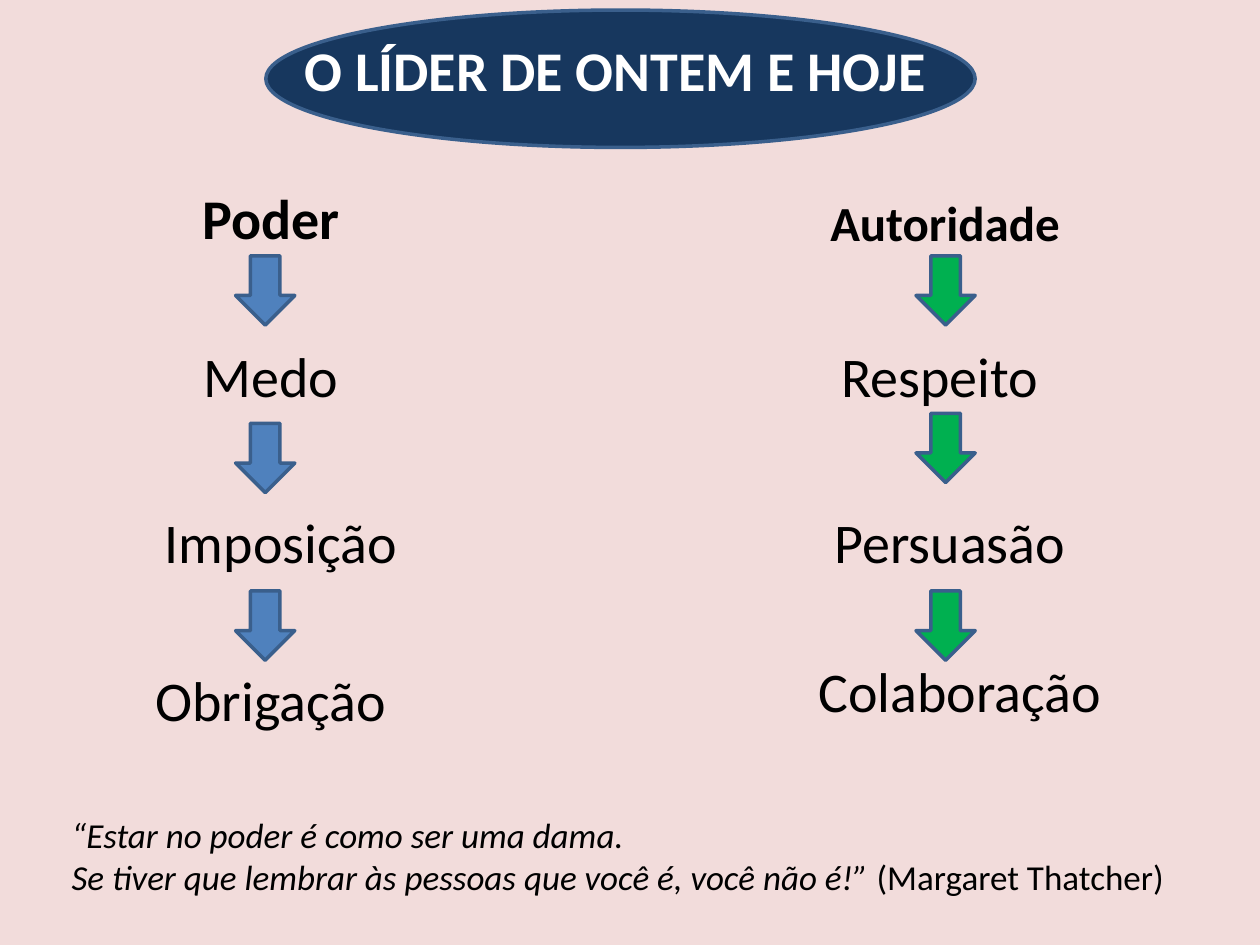
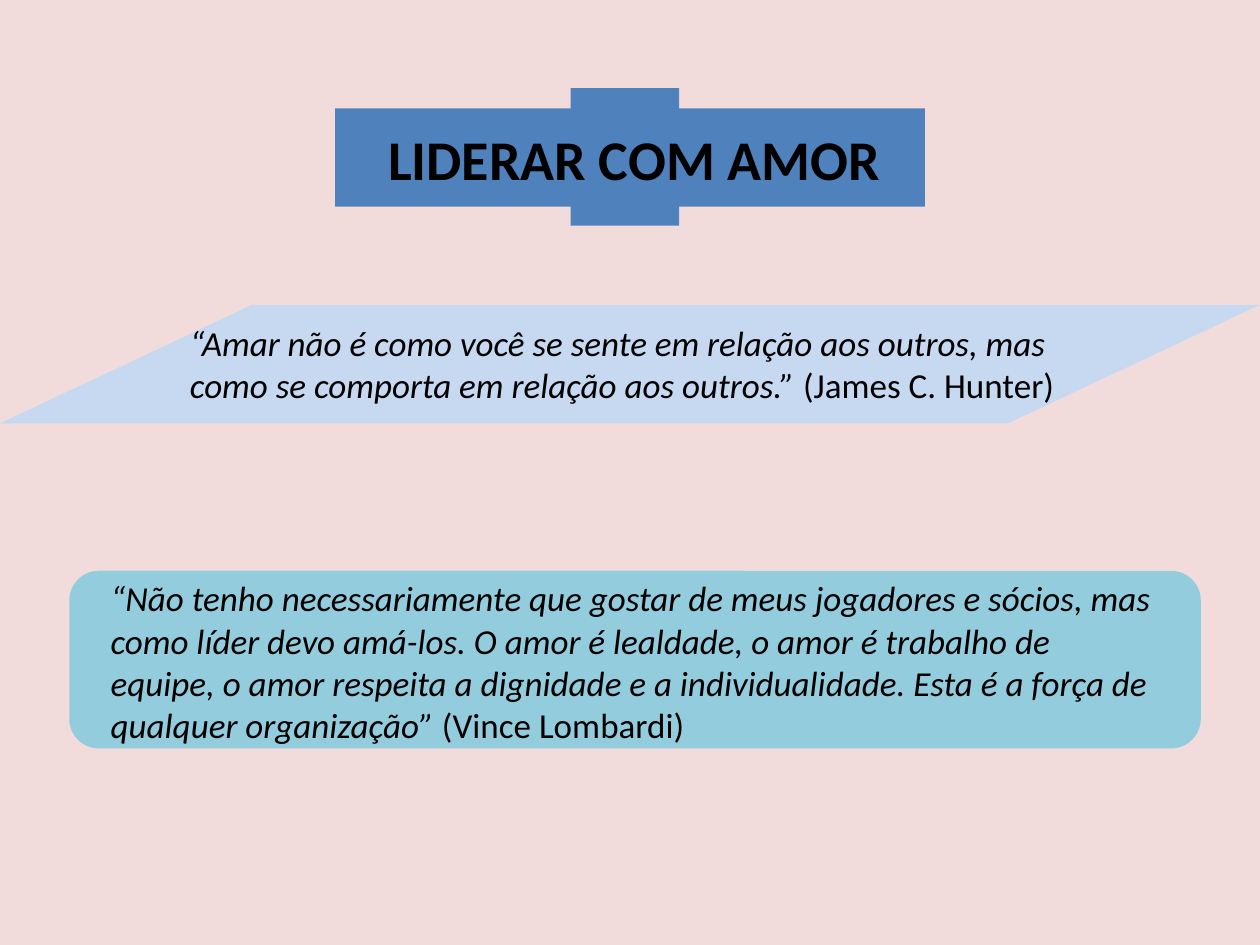
from dataclasses import dataclass

from pptx import Presentation
from pptx.dml.color import RGBColor
from pptx.enum.shapes import MSO_SHAPE as Shape
from pptx.enum.text import MSO_ANCHOR as Anchor, MSO_AUTO_SIZE as AutoSize, PP_ALIGN as Align
from pptx.util import Inches, Pt


@dataclass(frozen=True)
class Theme:
    font: str = "Calibri"
    background: str = "F2DCDB"
    ink: str = "000000"
    white: str = "FFFFFF"
    navy: str = "17375E"
    outline: str = "3A5F8C"
    blue: str = "4F81BD"
    green: str = "00B050"
    pale_blue: str = "C6D9F1"
    aqua: str = "93CDDD"
    heading: int = 32
    subheading: int = 28
    quote: int = 20
    outline_width: int = 2


class Deck:
    def __init__(self, theme):
        self.theme = theme
        self.prs = Presentation()
        self.prs.slide_width = Inches(10)
        self.prs.slide_height = Inches(7.5)
        self.paint(self.prs.slide_master.background.fill, theme.background)
        self.slide = None

    def paint(self, fill, color):
        fill.solid()
        fill.fore_color.rgb = RGBColor.from_string(color)

    def new_slide(self):
        self.slide = self.prs.slides.add_slide(self.prs.slide_layouts[5])

    def panel(self, kind, box, color, outlined=False, rotation=0):
        panel = self.slide.shapes.add_shape(kind, *map(Inches, box))
        panel.shadow.inherit = False
        panel.rotation = rotation
        self.paint(panel.fill, color)
        if outlined:
            self.paint(panel.line.fill, self.theme.outline)
            panel.line.width = Pt(self.theme.outline_width)
        else:
            panel.line.fill.background()

    def set_text(self, holder, paragraphs, size, color, align):
        frame = holder.text_frame
        frame.word_wrap = True
        frame.auto_size = AutoSize.SHAPE_TO_FIT_TEXT
        frame.vertical_anchor = Anchor.TOP
        for index, runs in enumerate(paragraphs):
            paragraph = frame.paragraphs[0] if index == 0 else frame.add_paragraph()
            paragraph.alignment = align
            for text, bold, italic in runs:
                run = paragraph.add_run()
                run.text = text
                font = run.font
                font.name = self.theme.font
                font.size = Pt(size)
                font.bold = bold
                font.italic = italic
                font.color.rgb = RGBColor.from_string(color)

    def title(self, text, box, color):
        title = self.slide.shapes.title
        title.left, title.top, title.width, title.height = map(Inches, box)
        title.element.getparent().append(title.element)
        self.set_text(title, [[(text, True, False)]], self.theme.heading, color, Align.CENTER)

    def label(self, text, box, size, bold=False):
        label = self.slide.shapes.add_textbox(*map(Inches, box))
        self.set_text(label, [[(text, bold, False)]], size, self.theme.ink, Align.CENTER)

    def quote(self, lines, author, box):
        paragraphs = [[(line, False, True)] for line in lines]
        paragraphs[-1].append((f"({author})", False, False))
        quote = self.slide.shapes.add_textbox(*map(Inches, box))
        self.set_text(quote, paragraphs, self.theme.quote, self.theme.ink, Align.LEFT)

    def chain(self, steps, arrow_left, arrow_tops, color):
        for index, (text, left, top, width, height, size) in enumerate(steps):
            self.label(text, (left, top, width, height), size, bold=index == 0)
        for top in arrow_tops:
            self.panel(Shape.DOWN_ARROW, (arrow_left, top, 0.47, 0.55), color, outlined=True)


def leader_then_and_now(deck):
    theme = deck.theme
    deck.new_slide()
    deck.panel(Shape.OVAL, (2.11, 0.08, 5.63, 1.09), theme.navy, outlined=True)
    deck.title("O LÍDER DE ONTEM E HOJE", (0.86, 0.23, 8.05, 0.64), theme.white)
    step = (3.52, 0.64, theme.heading)
    power = [
        ("Poder", 0.39, 1.41, *step),
        ("Medo", 0.39, 2.66, *step),
        ("Imposição", 0.47, 3.98, *step),
        ("Obrigação", 0.39, 5.23, *step),
    ]
    authority = [
        ("Autoridade", 5.86, 1.48, 3.28, 0.57, theme.subheading),
        ("Respeito", 5.7, 2.66, *step),
        ("Persuasão", 5.78, 3.98, *step),
        ("Colaboração", 5.86, 5.16, *step),
    ]
    deck.chain(power, 1.87, (2.03, 3.36, 4.69), theme.blue)
    deck.chain(authority, 7.27, (2.03, 3.28, 4.69), theme.green)
    deck.quote(
        [
            "“Estar no poder é como ser uma dama.",
            "Se tiver que lembrar às pessoas que você é, você não é!” ",
        ],
        "Margaret Thatcher",
        (0.47, 6.41, 8.98, 0.77),
    )


def lead_with_love(deck):
    theme = deck.theme
    deck.new_slide()
    deck.panel(Shape.FLOWCHART_ALTERNATE_PROCESS, (0.55, 4.53, 8.98, 1.41), theme.aqua)
    deck.panel(Shape.FLOWCHART_DATA, (0, 2.42, 10, 0.94), theme.pale_blue)
    deck.panel(Shape.RECTANGLE, (4.53, 0.7, 0.86, 1.09), theme.blue)
    for left, rotation in ((2.66, 0), (5, 180)):
        deck.panel(Shape.PENTAGON, (left, 0.86, 2.34, 0.78), theme.blue, rotation=rotation)
    deck.title("LIDERAR COM AMOR", (1.56, 0.94, 6.95, 0.64), theme.ink)
    deck.quote(
        [
            "“Amar não é como você se sente em relação aos outros, mas "
            "como se comporta em relação aos outros.” "
        ],
        "James C. Hunter",
        (1.41, 2.5, 7.27, 0.77),
    )
    deck.quote(
        [
            "“Não tenho necessariamente que gostar de meus jogadores e sócios, mas "
            "como líder devo amá-los. O amor é lealdade, o amor é trabalho de "
            "equipe, o amor respeita a dignidade e a individualidade. Esta é a força de "
            "qualquer organização” "
        ],
        "Vince Lombardi",
        (0.78, 4.53, 8.52, 1.45),
    )


def main():
    deck = Deck(Theme())
    leader_then_and_now(deck)
    lead_with_love(deck)
    deck.prs.save("out.pptx")


if __name__ == "__main__":
    main()
